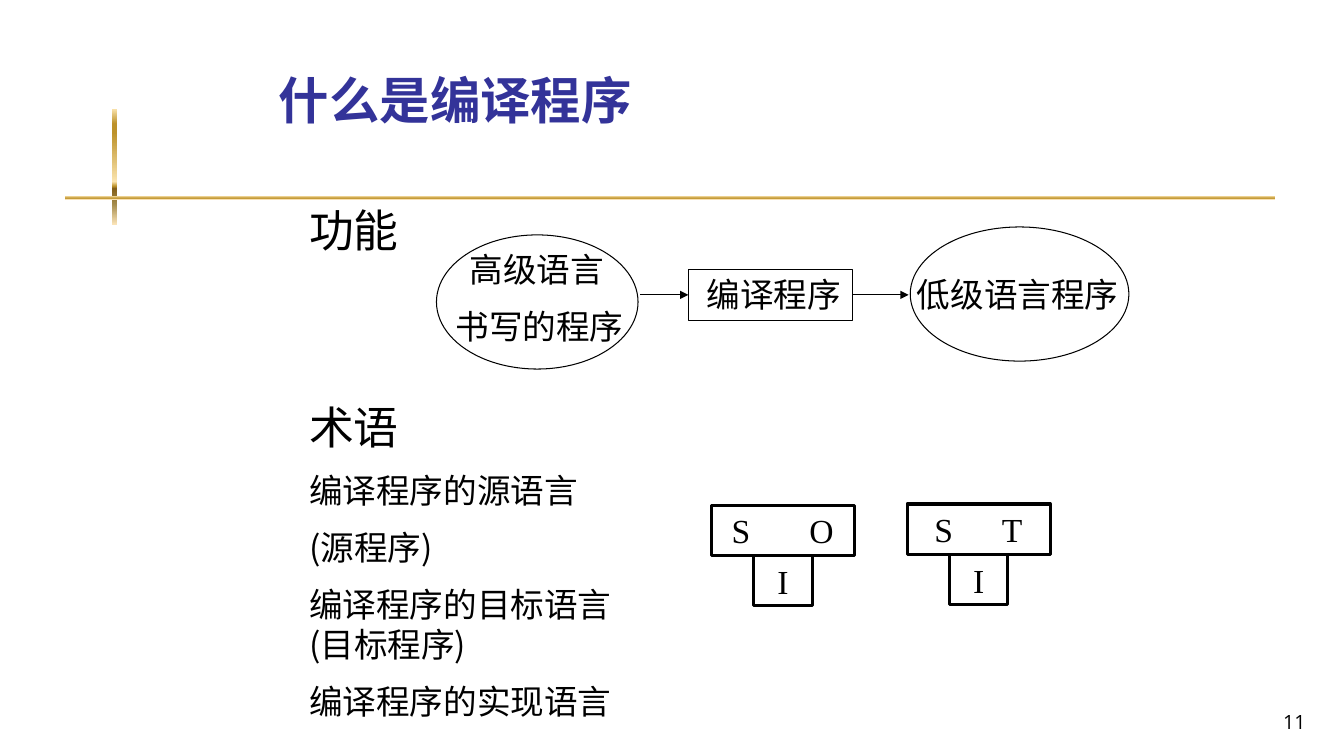
from dataclasses import dataclass

from lxml import etree
from pptx import Presentation
from pptx.dml.color import RGBColor
from pptx.enum.shapes import MSO_CONNECTOR, MSO_SHAPE
from pptx.enum.text import MSO_ANCHOR, PP_ALIGN
from pptx.oxml.ns import qn
from pptx.util import Cm, Pt

RECT, OVAL = MSO_SHAPE.RECTANGLE, MSO_SHAPE.OVAL
STRAIGHT = MSO_CONNECTOR.STRAIGHT
TOP, MIDDLE, BOTTOM = MSO_ANCHOR.TOP, MSO_ANCHOR.MIDDLE, MSO_ANCHOR.BOTTOM
LEFT, CENTER, RIGHT = PP_ALIGN.LEFT, PP_ALIGN.CENTER, PP_ALIGN.RIGHT


@dataclass(frozen=True)
class Theme:
    """Colours, fonts and sizes of the slide."""
    ink: str = "000000"
    paper: str = "FFFFFF"
    title: str = "333399"
    gold: tuple = ((0, "FBE4AE"), (13, "BD922A"), (21, "BD922A"), (63, "FBE4AE"),
                   (67, "BD922A"), (69, "835E17"), (82, "A28949"), (100, "FAE3B7"))
    cjk: str = "Noto Sans CJK JP"
    serif: str = "Times New Roman"
    sans: str = "Open Sans"
    title_size: int = 36
    head_size: int = 32
    body_size: int = 24
    page_size: int = 14
    thin: float = 0.75
    thick: float = 2.25
    leading: float = 1.19


T = Theme()


def style(p, size, font=T.cjk, color=T.ink, bold=False, align=LEFT):
    """Format a paragraph and its runs."""
    p.alignment = align
    if font == T.cjk:
        p.line_spacing = Pt(round(size * T.leading, 1))
    for r in p.runs:
        r.font.size, r.font.name, r.font.bold = Pt(size), font, bold
        r.font.color.rgb = RGBColor.from_string(color)
        ea = etree.SubElement(r.font._element, qn("a:ea"))
        ea.set("typeface", font)


def margins(tf, left=0.25, top=0.13, right=0.25, bottom=0.13, anchor=TOP):
    """Set insets, wrapping and anchor of a text frame."""
    tf.word_wrap = True
    tf.vertical_anchor = anchor
    tf.margin_left, tf.margin_top = Cm(left), Cm(top)
    tf.margin_right, tf.margin_bottom = Cm(right), Cm(bottom)


def add_text(s, box, lines, size, anchor=TOP, **look):
    """Add a text box with one paragraph per line and return its frame."""
    tf = s.shapes.add_textbox(*map(Cm, box)).text_frame
    margins(tf, anchor=anchor)
    tf.text = "\n".join(lines)
    for i, p in enumerate(tf.paragraphs):
        style(p, size, **look)
        p.space_before = Pt(size / 2 if i else 0)
    return tf


def add_outline(shapes, kind, box, width, fill=None):
    """Add a black outlined shape."""
    sp = shapes.add_shape(kind, *map(Cm, box))
    sp.shadow.inherit = False
    sp.line.color.rgb = RGBColor.from_string(T.ink)
    sp.line.width = Pt(width)
    if fill:
        sp.fill.solid()
        sp.fill.fore_color.rgb = RGBColor.from_string(fill)
    else:
        sp.fill.background()
    return sp


def add_gold_bar(s, box):
    """Add a bar with the vertical gold gradient."""
    sp = s.shapes.add_shape(RECT, *map(Cm, box))
    sp.shadow.inherit = False
    sp.line.fill.background()
    sp.fill.gradient()
    sp.fill.gradient_angle = 270
    stops = sp._element.spPr.find(qn("a:gradFill")).find(qn("a:gsLst"))
    for gs in list(stops):
        stops.remove(gs)
    for pos, color in T.gold:
        gs = etree.SubElement(stops, qn("a:gs"), pos=str(pos * 1000))
        etree.SubElement(gs, qn("a:srgbClr"), val=color)


def add_arrow(s, x1, x2, y):
    """Add a thin horizontal arrow."""
    c = s.shapes.add_connector(STRAIGHT, Cm(x1), Cm(y), Cm(x2), Cm(y))
    c.line.color.rgb = RGBColor.from_string(T.ink)
    c.line.width = Pt(T.thin)
    etree.SubElement(c.line._get_or_add_ln(), qn("a:tailEnd"), type="triangle")
    etree.SubElement(c._element.spPr, qn("a:effectLst"))
    return c


def add_t_diagram(s, x, y, source, target, inset, tab):
    """Add a T-diagram: source and target languages above the implementation one."""
    shapes = s.shapes.add_group_shape().shapes
    bar = add_outline(shapes, RECT, (x, y, 3.61, 1.27), T.thick, T.paper)
    foot = add_outline(shapes, RECT, (x + 1.07, y + 1.27, 1.47, 1.27), T.thick, T.paper)
    for sp, text, left, align in ((bar, f"{source}\t{target}", inset, LEFT),
                                  (foot, "I", 0.25, CENTER)):
        tf = sp.text_frame
        margins(tf, left=left, anchor=MIDDLE)
        tf.text = text
        style(tf.paragraphs[0], T.body_size, T.serif, align=align)
    pPr = bar.text_frame.paragraphs[0]._p.get_or_add_pPr()
    tabs = etree.SubElement(pPr, qn("a:tabLst"))
    etree.SubElement(tabs, qn("a:tab"), pos=str(Cm(tab)), algn="l")


def add_flow(s):
    """Add the flow from high-level program through compiler to low-level program."""
    tf = add_text(s, (11.23, 6.15, 5.28, 2.82), ["高级语言", "书写的程序"], T.body_size)
    tf.paragraphs[0]._p.get_or_add_pPr().set("marL", str(Cm(0.36)))
    compiler = add_outline(s.shapes, RECT, (17.35, 6.78, 4.14, 1.3), T.thin)
    tf = compiler.text_frame
    margins(tf, left=0.46, right=0)
    tf.text = "编译程序"
    style(tf.paragraphs[0], T.body_size)
    add_text(s, (22.86, 6.78, 5.72, 1.3), ["低级语言程序"], T.body_size)
    add_outline(s.shapes, OVAL, (11, 5.92, 5.08, 3.38), T.thin)
    add_outline(s.shapes, OVAL, (22.94, 5.72, 5.51, 3.38), T.thin)
    add_arrow(s, 16.13, 17.35, 7.43).end_connect(compiler, 1)
    add_arrow(s, 21.49, 22.9, 7.43).begin_connect(compiler, 3)


def main():
    """Build and save the slide."""
    prs = Presentation()
    prs.slide_width, prs.slide_height = Cm(33.87), Cm(19.05)
    s = prs.slides.add_slide(prs.slide_layouts[6])
    add_gold_bar(s, (2.82, 2.74, 0.13, 2.92))
    add_gold_bar(s, (1.65, 4.95, 30.48, 0.08))
    add_text(s, (6.78, 0.43, 21.59, 2.97), ["什么是编译程序"], T.title_size,
             BOTTOM, color=T.title, bold=True)
    add_text(s, (7.54, 4.98, 20.8, 1.47), ["功能"], T.head_size)
    terms = ["术语", "编译程序的源语言", "(源程序)",
             "编译程序的目标语言(目标程序)", "编译程序的实现语言"]
    tf = add_text(s, (7.54, 9.96, 9.19, 8.81), terms, T.body_size)
    style(tf.paragraphs[0], T.head_size)
    add_t_diagram(s, 17.93, 12.73, "S", "O", 0.51, 1.96)
    add_flow(s)
    add_t_diagram(s, 22.86, 12.7, "S", "T", 0.69, 1.7)
    add_text(s, (26.09, 17.35, 7.06, 1.27), ["11"], T.page_size,
             BOTTOM, font=T.sans, align=RIGHT)
    prs.save("out.pptx")


if __name__ == "__main__":
    main()
